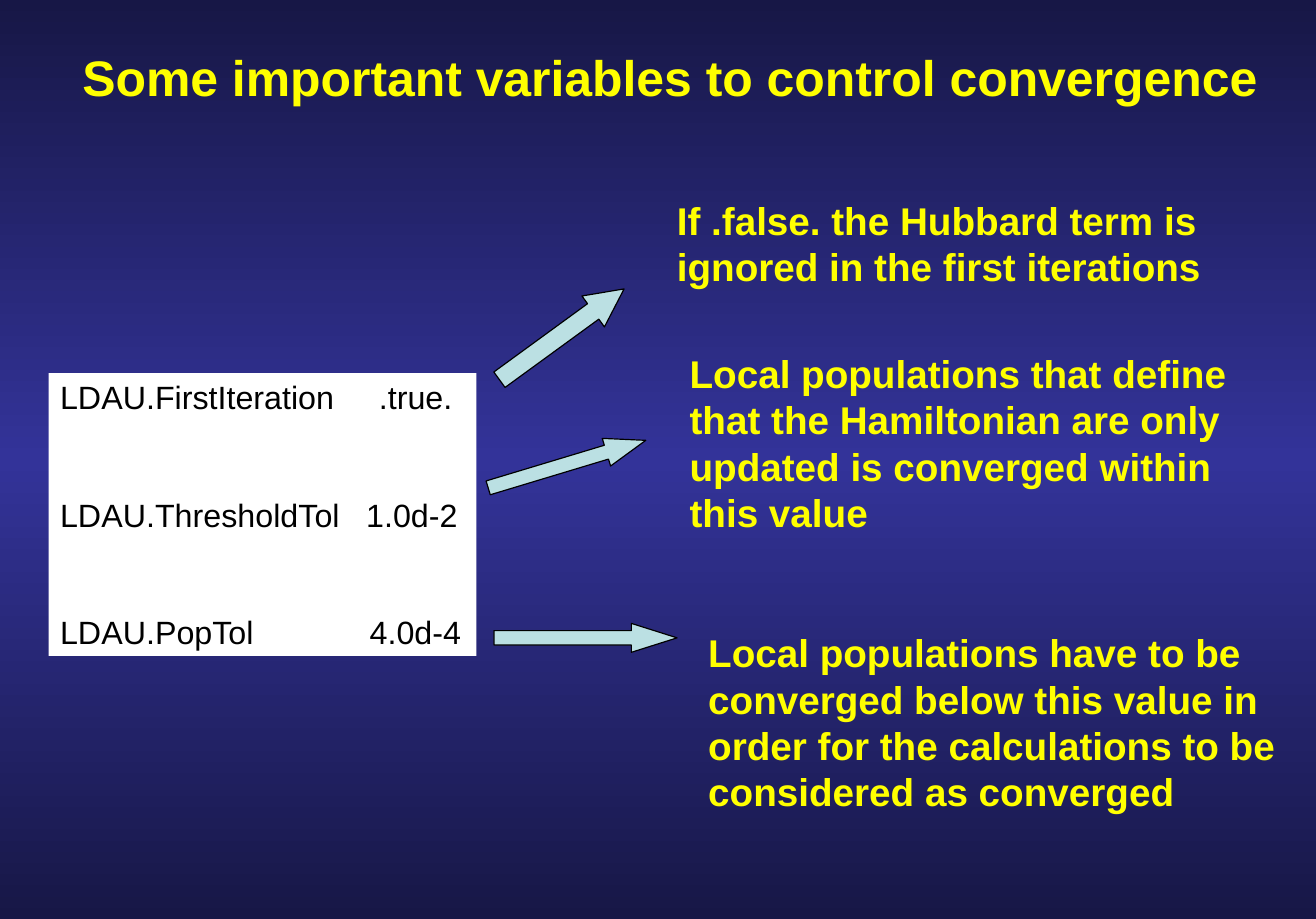
from copy import deepcopy
from lxml import etree
from pptx import Presentation
from pptx.dml.color import RGBColor
from pptx.enum.shapes import MSO_SHAPE
from pptx.enum.text import MSO_ANCHOR, PP_ALIGN
from pptx.oxml.ns import qn
from pptx.util import Inches, Pt

RECT, ARROW = MSO_SHAPE.RECTANGLE, MSO_SHAPE.RIGHT_ARROW
TOP, MIDDLE, LEFT = MSO_ANCHOR.TOP, MSO_ANCHOR.MIDDLE, PP_ALIGN.LEFT

WIDE, HIGH = 11.35, 7.93
FONT = "Arial"
YELLOW, BLACK, WHITE, PALE = "FFFF00", "000000", "FFFFFF", "BBE0E3"
SKY = [(0, "171746"), (0.5, "333399"), (1, "171746")]

TITLE = "Some important variables to control convergence"
TITLE_AT = (5.29, 0, 94.8, 16.65)
CODE_AT = (3.7, 40.6, 32.51, 30.77)
CODE = [
    ("LDAU.FirstIteration", ".true.", 2.75),
    ("LDAU.ThresholdTol", "1.0d-2", 2.64),
    ("LDAU.PopTol", "4.0d-4", 2.67),
]
NOTE_WIDE = 47.14
NOTES = [
    ("If .false. the Hubbard term is ignored in the first iterations",
     50.57, 20.81, 11.35),
    ("Local populations that define that the Hamiltonian are only "
     "updated is converged within this value", 51.54, 37.45, 21.44),
    ("Local populations have to be converged below this value in order "
     "for the calculations to be considered as converged",
     52.95, 67.84, 21.44),
]
ARROWS = [
    ((36.83, 34.3, 11.72, 4.16), 323.9, 1),
    ((36.83, 48.93, 12.51, 3.15), 343.2, 1.42),
    ((37.53, 67.84, 13.92, 3.15), 0, 1.58),
]


def color(code):
    return RGBColor.from_string(code)


def place(area):
    x, y, w, h = area
    return [Inches(share * size / 100) for share, size in
            ((x, WIDE), (y, HIGH), (w, WIDE), (h, HIGH))]


def write(para, text, size, code, bold=False):
    para.alignment = LEFT
    run = para.add_run()
    run.text = text
    font = run.font
    font.name, font.size, font.bold = FONT, Pt(size), bold
    font.color.rgb = color(code)


def label(slide, area, text, size, anchor, pad):
    frame = slide.shapes.add_textbox(*place(area)).text_frame
    frame.word_wrap = True
    frame.vertical_anchor = anchor
    frame.margin_left = frame.margin_right = Inches(pad)
    write(frame.paragraphs[0], text, size, YELLOW, True)


def solid(slide, kind, area, fill):
    shape = slide.shapes.add_shape(kind, *place(area))
    shape.shadow.inherit = False
    shape.fill.solid()
    shape.fill.fore_color.rgb = color(fill)
    return shape


def paint(slide):
    fill = slide.background.fill
    fill.gradient()
    fill.gradient_angle = 270
    stops = next(slide.element.iter(qn("a:gsLst")))
    stops.append(deepcopy(stops[0]))
    for stop, (spot, code) in zip(fill.gradient_stops, SKY):
        stop.position = spot
        stop.color.rgb = color(code)


def list_code(slide):
    box = solid(slide, RECT, CODE_AT, WHITE)
    box.line.fill.background()
    frame = box.text_frame
    frame.word_wrap = True
    frame.vertical_anchor = MIDDLE
    for row, (name, value, stop) in enumerate(CODE):
        para = frame.add_paragraph() if row else frame.paragraphs[0]
        para.space_before = Pt(49 if row else 0)
        write(para, f"{name}\t{value}", 20, BLACK)
        tabs = etree.SubElement(para._p.get_or_add_pPr(), qn("a:tabLst"))
        etree.SubElement(tabs, qn("a:tab"), pos=str(Inches(stop)), algn="l")


def main():
    deck = Presentation()
    deck.slide_width, deck.slide_height = Inches(WIDE), Inches(HIGH)
    slide = deck.slides.add_slide(deck.slide_layouts[6])
    paint(slide)
    label(slide, TITLE_AT, TITLE, 31, MIDDLE, 0.11)
    list_code(slide)
    for area, turn, head in ARROWS:
        arrow = solid(slide, ARROW, area, PALE)
        arrow.line.color.rgb = color(BLACK)
        arrow.line.width = Pt(0.75)
        arrow.rotation = turn
        arrow.adjustments[0] = 0.5
        arrow.adjustments[1] = head
    for text, x, y, h in NOTES:
        label(slide, (x, y, NOTE_WIDE, h), text, 24, TOP, 0.1)
    deck.save("out.pptx")


if __name__ == "__main__":
    main()
